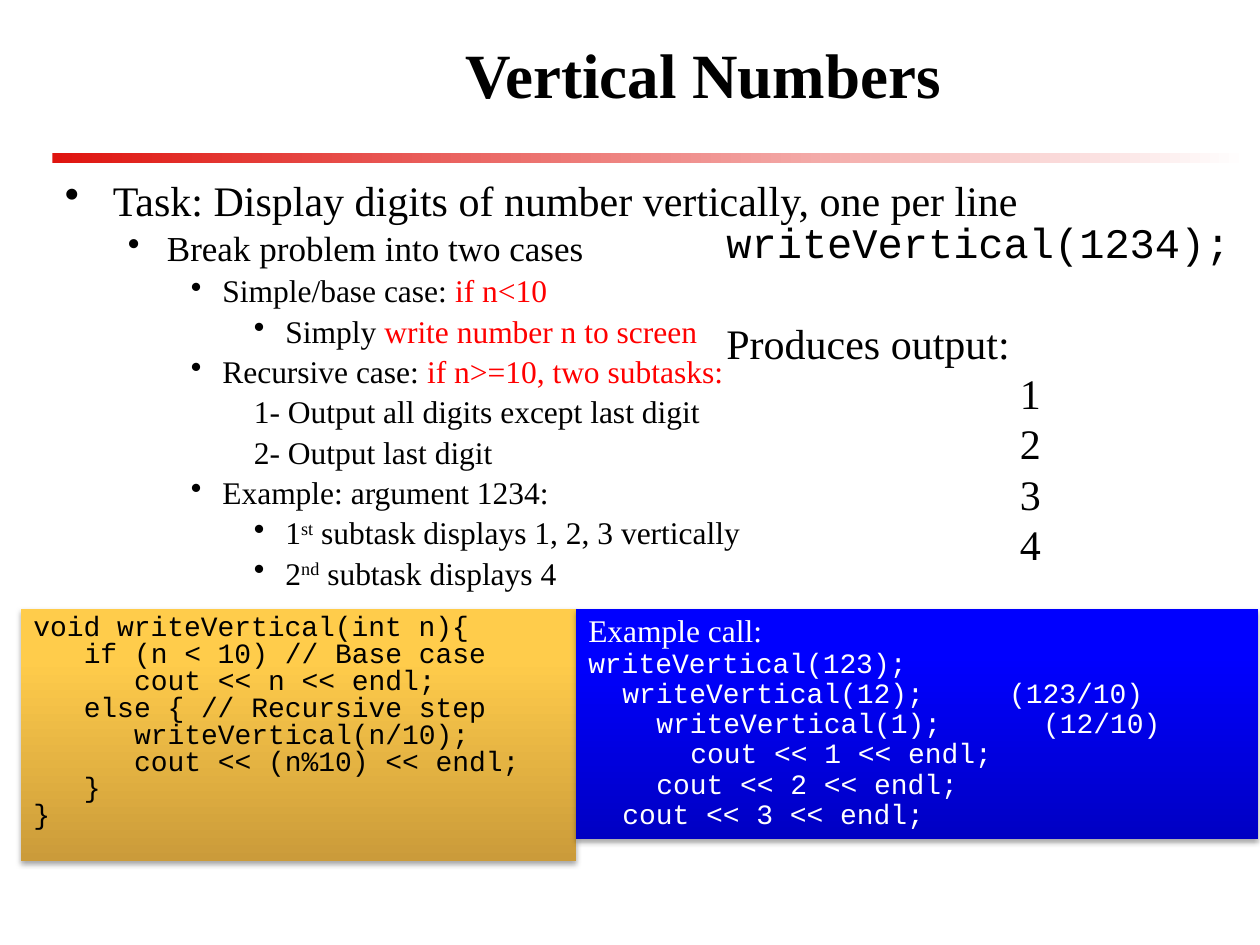
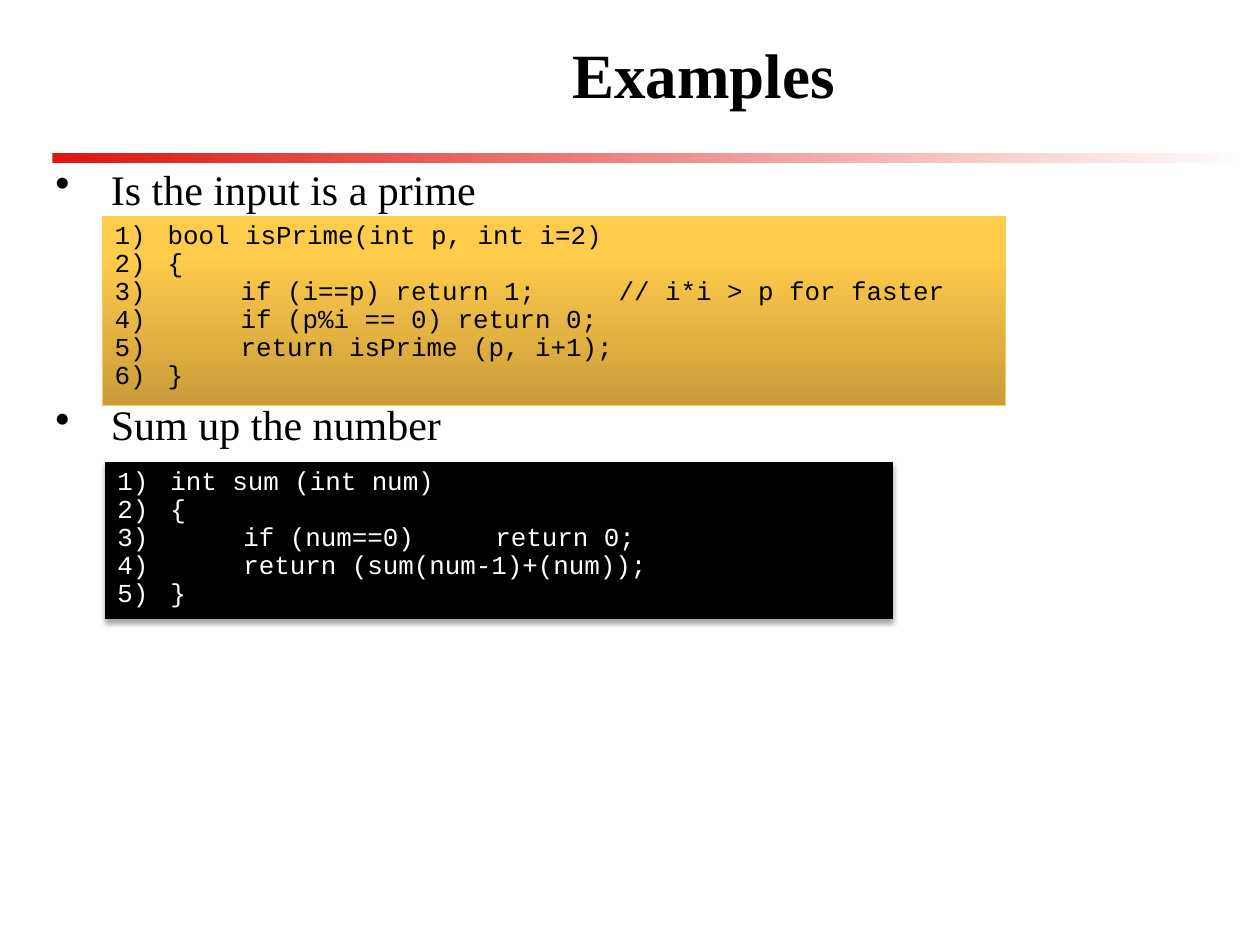
from dataclasses import dataclass
from typing import Optional

from lxml.etree import SubElement
from pptx import Presentation
from pptx.dml.color import RGBColor
from pptx.enum.shapes import MSO_SHAPE
from pptx.enum.text import MSO_ANCHOR, PP_ALIGN
from pptx.oxml.ns import qn
from pptx.util import Inches, Pt

COLORS = {
    "black": "000000", "white": "FFFFFF", "red": "FF0000", "bar_red": "DF140F",
    "gold_edge": "FCC85F", "gold_dark": "CB9B3A", "gold": "FFCC4B", "gold_light": "FFCE49",
    "blue_dark": "0000C3", "blue": "0000FF",
}
SERIF, MONO = "Times New Roman", "Courier New"
WIDTH, HEIGHT = Inches(10), Inches(7.5)
COLUMNS, ROWS = 120, 90
LEADING = 1.2  # line height as a multiple of the text size


@dataclass(frozen=True)
class Area:
    column: float
    row: float
    columns: float
    rows: float

    def lengths(self) -> tuple:
        across, down = WIDTH / COLUMNS, HEIGHT / ROWS
        return (int(self.column * across), int(self.row * down),
                int(self.columns * across), int(self.rows * down))


@dataclass(frozen=True)
class Span:
    text: str
    color: str = "black"
    raised: bool = False


@dataclass(frozen=True)
class Style:
    size: float
    font: str = SERIF
    spacing: float = 1.0
    before: float = 0
    margin: float = 0  # inches
    hang: float = 0  # inches
    tab: float = 1  # inches
    marker: str = ""  # a bullet character, or "number"
    bold: bool = False
    align: PP_ALIGN = PP_ALIGN.LEFT


@dataclass(frozen=True)
class Line:
    style: Style
    spans: tuple


@dataclass(frozen=True)
class Panel:
    area: Area
    stops: tuple  # (percent, colour name)
    angle: int = 270
    edge: Optional[str] = None
    shadow: bool = False


GOLD = ((0, "gold_dark"), (80, "gold"), (100, "gold_light"))
BLUE = ((0, "blue_dark"), (80, "blue"), (100, "blue"))
BLACK = ((0, "black"), (100, "black"))
RED_BAR = Panel(Area(5, 14.55, 114, 0.95), ((0, "bar_red"), (100, "white")), angle=0)
TITLE_AREA = Area(14, 0, 106, 14)
TITLE = Style(36, bold=True, align=PP_ALIGN.CENTER)

# Outline levels of the bulleted text
TASK = Style(24, margin=0.38, hang=0.38, marker="•")
PROBLEM = Style(20, spacing=0.9, before=4, margin=0.81, hang=0.31, marker="•")
CASE = Style(18, spacing=0.9, before=3.6, margin=1.25, hang=0.25, marker="•")
DETAIL = Style(18, spacing=0.9, before=3.6, margin=1.75, hang=0.25, marker="•")
SUBTASK = Style(18, spacing=0.9, before=3.6, margin=1.75, hang=0.25)
NUMBERED = Style(14.8, MONO, spacing=0.9, margin=0.42, hang=0.42, marker="number")


def line(style: Style, *parts) -> Line:
    """Plain strings become black spans."""
    return Line(style, tuple(Span(part) if isinstance(part, str) else part for part in parts))


def code(rows: tuple, step: float, spacing: float, color: str) -> list:
    """Code lines given as (depth, text), indented by a step in inches."""
    return [line(Style(16, MONO, spacing, margin=depth * step, tab=3.07), Span(text, color))
            for depth, text in rows]


def numbered(rows: tuple, color: str) -> list:
    return [line(NUMBERED, Span(text, color)) for text in rows]


def rgb(name: str) -> RGBColor:
    return RGBColor.from_string(COLORS[name])


def add_color(parent, name: str):
    return SubElement(parent, qn("a:srgbClr"), val=COLORS[name])


def write_lines(frame, lines: list) -> None:
    frame.word_wrap = True
    for index, item in enumerate(lines):
        style = item.style
        para = frame.paragraphs[0] if index == 0 else frame.add_paragraph()
        para.alignment = style.align
        para.line_spacing = style.spacing
        para.space_before = Pt(style.before)
        properties = para._p.get_or_add_pPr()
        properties.set("marL", str(Inches(style.margin)))
        properties.set("indent", str(-Inches(style.hang)))
        properties.set("defTabSz", str(Inches(style.tab)))
        if style.marker:
            add_color(SubElement(properties, qn("a:buClr")), item.spans[0].color)
        if style.marker == "number":
            SubElement(properties, qn("a:buAutoNum"), type="arabicParenR")
        elif style.marker:
            SubElement(properties, qn("a:buChar"), char=style.marker)
        for part in item.spans:
            span = para.add_run()
            span.text = part.text
            span.font.name, span.font.size = style.font, Pt(style.size)
            span.font.bold = style.bold
            span.font.color.rgb = rgb(part.color)
            if part.raised:
                span.font._element.set("baseline", "30000")


def add_text(page, area: Area, lines: list, anchor=MSO_ANCHOR.TOP) -> None:
    box = page.shapes.add_textbox(*area.lengths())
    box.text_frame.vertical_anchor = anchor
    write_lines(box.text_frame, lines)


def add_panel(page, panel: Panel, lines: Optional[list] = None) -> None:
    box = page.shapes.add_shape(MSO_SHAPE.RECTANGLE, *panel.area.lengths())
    box.shadow.inherit = False
    if panel.edge:
        box.line.color.rgb = rgb(panel.edge)
        box.line.width = Pt(0.75)
    else:
        box.line.fill.background()
    # Gradient with any number of stops
    box.fill.gradient()
    gradient = box._element.spPr.find(qn("a:gradFill"))
    for child in list(gradient):
        gradient.remove(child)
    stops = SubElement(gradient, qn("a:gsLst"))
    for percent, name in panel.stops:
        add_color(SubElement(stops, qn("a:gs"), pos=str(percent * 1000)), name)
    SubElement(gradient, qn("a:lin"), ang=str(panel.angle * 60000), scaled="0")
    if panel.shadow:
        effects = box._element.spPr.find(qn("a:effectLst"))
        outer = SubElement(effects, qn("a:outerShdw"), blurRad=str(Pt(3.1)),
                           dist=str(Pt(1.8)), dir="5400000", rotWithShape="0")
        SubElement(add_color(outer, "black"), qn("a:alpha"), val="35000")
    if lines:
        box.text_frame.vertical_anchor = MSO_ANCHOR.TOP
        write_lines(box.text_frame, lines)


def add_page(deck, title: str):
    page = deck.slides.add_slide(deck.slide_layouts[6])
    add_panel(page, RED_BAR)
    add_text(page, TITLE_AREA, [line(TITLE, title)], MSO_ANCHOR.MIDDLE)
    return page


def build_vertical_numbers(deck) -> None:
    page = add_page(deck, "Vertical Numbers")
    # Task outline
    add_text(page, Area(5, 16, 112, 64), [
        line(TASK, "Task: Display digits of number vertically, one per line"),
        line(PROBLEM, "Break problem into two cases"),
        line(CASE, "Simple/base case: ", Span("if n<10", "red")),
        line(DETAIL, "Simply ", Span("write number n to screen", "red")),
        line(CASE, "Recursive case: ", Span("if n>=10, two subtasks:", "red")),
        line(SUBTASK, "1- Output all digits except last digit"),
        line(SUBTASK, "2- Output last digit"),
        line(CASE, "Example: argument 1234:"),
        line(DETAIL, "1", Span("st", raised=True), " subtask displays 1, 2, 3 vertically"),
        line(DETAIL, "2", Span("nd", raised=True), " subtask displays 4"),
    ])
    # Call and its output
    add_text(page, Area(68, 20, 51, 32), [
        line(Style(24, MONO), "writeVertical(1234);"),
        line(Style(24, before=24 * LEADING), "Produces output:"),
        *(line(Style(24, margin=2.33), digit) for digit in "1234"),
    ])
    # Function and call trace, side by side
    add_panel(page, Panel(Area(2, 58, 52.85, 24), GOLD, shadow=True), code((
        (0, "void writeVertical(int n){"),
        (1, "if (n < 10) // Base case"),
        (2, "cout << n << endl;"),
        (1, "else { // Recursive step"),
        (2, "writeVertical(n/10);"),
        (2, "cout << (n%10) << endl;"),
        (1, "}"),
        (0, "}"),
    ), step=0.4, spacing=0.8, color="black"))
    heading = line(Style(18, spacing=0.9), Span("Example call:", "white"))
    add_panel(page, Panel(Area(54.85, 58, 65, 21.95), BLUE, shadow=True), [heading] + code((
        (0, "writeVertical(123);"),
        (1, "writeVertical(12);\t(123/10)"),
        (2, "writeVertical(1);\t(12/10)"),
        (3, "cout << 1 << endl;"),
        (2, "cout << 2 << endl;"),
        (1, "cout << 3 << endl;"),
    ), step=0.27, spacing=0.9, color="white"))


def build_examples(deck) -> None:
    page = add_page(deck, "Examples")
    # Code listings
    add_panel(page, Panel(Area(9.75, 20.6, 86.05, 18), GOLD, edge="gold_edge"), numbered((
        "bool isPrime(int p, int i=2)",
        "{",
        "\tif (i==p) return 1;\t// i*i > p for faster",
        "\tif (p%i == 0) return 0;",
        "\treturn isPrime (p, i+1);",
        "}",
    ), "black"))
    add_panel(page, Panel(Area(10, 44, 75.1, 15), BLACK, shadow=True), numbered((
        "int sum (int num)",
        "{",
        "\tif (num==0)\treturn 0;",
        "\treturn (sum(num-1)+(num));",
        "}",
    ), "white"))
    # Headings above the listings
    gap = 3 * 24 * LEADING + 4 * 4.8
    add_text(page, Area(4.1, 15, 74, 64), [
        line(Style(24, margin=0.44, hang=0.44, marker="•"), "Is the input is a prime"),
        line(Style(24, before=gap, margin=0.44, hang=0.44, marker="•"), "Sum up the number"),
    ])


def main() -> None:
    deck = Presentation()
    deck.slide_width, deck.slide_height = WIDTH, HEIGHT
    build_vertical_numbers(deck)
    build_examples(deck)
    deck.save("out.pptx")


if __name__ == "__main__":
    main()
